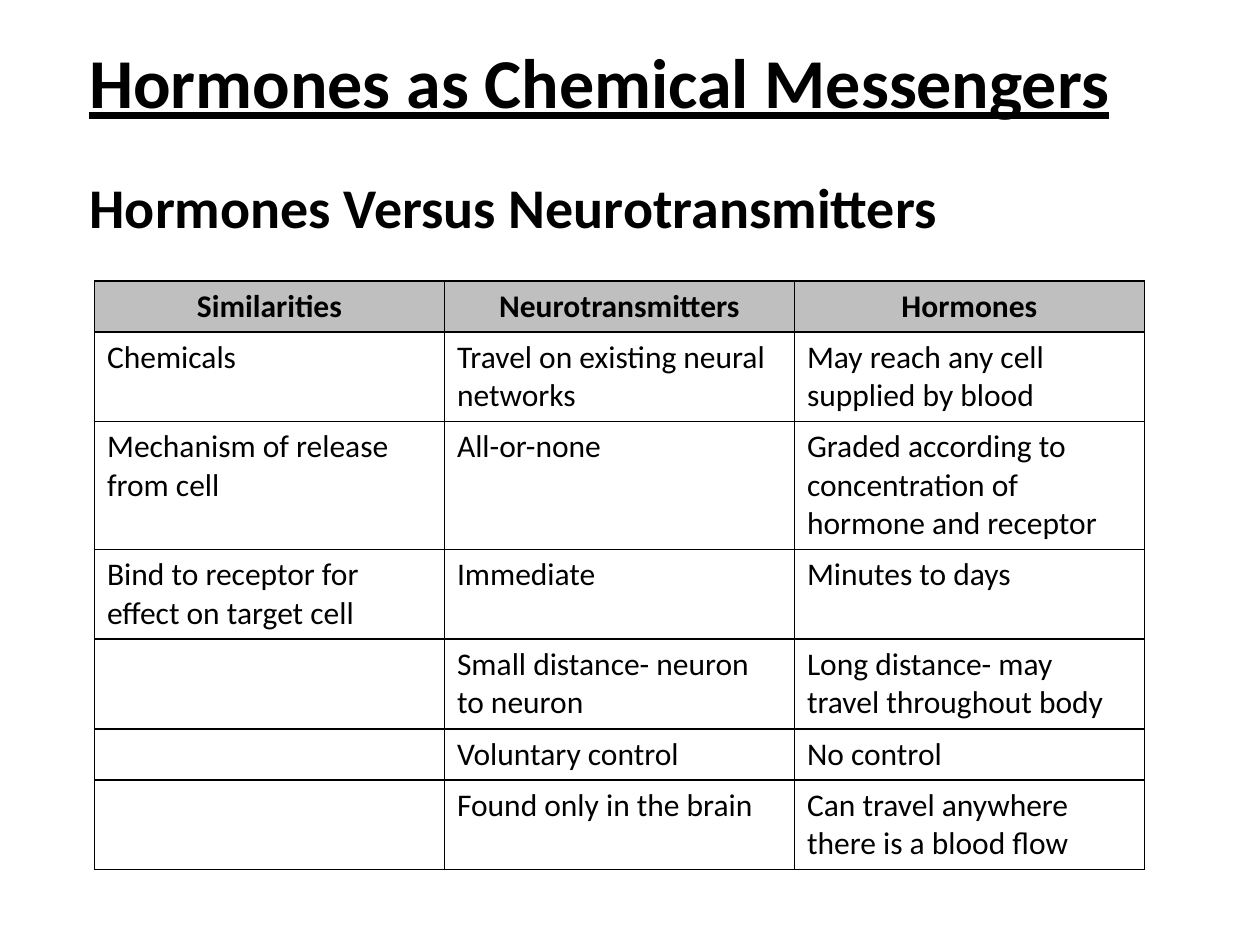
from lxml.etree import SubElement as add_element
from pptx import Presentation
from pptx.dml.color import RGBColor
from pptx.enum.text import MSO_ANCHOR as Anchor, PP_ALIGN as Align
from pptx.oxml.ns import qn
from pptx.util import Pt

BLACK = RGBColor(0x00, 0x00, 0x00)
WHITE = RGBColor(0xFF, 0xFF, 0xFF)
GREY = RGBColor(0xBF, 0xBF, 0xBF)

ROWS = [
    ("Similarities", "Neurotransmitters", "Hormones"),
    ("Chemicals", "Travel on existing neural networks",
     "May reach any cell supplied by blood"),
    ("Mechanism of release from cell", "All-or-none",
     "Graded according to concentration of hormone and receptor"),
    ("Bind to receptor for effect on target cell", "Immediate", "Minutes to days"),
    ("", "Small distance- neuron to neuron", "Long distance- may travel throughout body"),
    ("", "Voluntary control", "No control"),
    ("", "Found only in the brain", "Can travel anywhere there is a blood flow"),
]
ROW_HEIGHTS = [29.12, 51.2, 73.2, 51.2, 51.2, 29.12, 51.2]
COLUMN_WIDTH = 200


def set_values(target, values):
    for name, value in values.items():
        setattr(target, name, value)


def format_font(font, size, **values):
    set_values(font, {"name": "Calibri", "size": Pt(size), **values})
    font.color.rgb = BLACK


def fill_placeholder(box, text, place, anchor, align, size, **values):
    set_values(box, dict(zip(("left", "top", "width", "height"), map(Pt, place))))
    frame = box.text_frame
    set_values(frame, {"text": text, "word_wrap": True, "vertical_anchor": anchor})
    para = frame.paragraphs[0]
    set_values(para, {"alignment": align, "space_before": Pt(0)})
    format_font(para.runs[0].font, size, **values)
    return para


def remove_bullet(para):
    properties = para._p.get_or_add_pPr()
    properties.set("marL", "0")
    properties.set("indent", "0")
    add_element(properties, qn("a:buNone"))


def add_borders(cell):
    properties = cell._tc.get_or_add_tcPr()
    for side in ("lnL", "lnR", "lnT", "lnB"):
        line = add_element(properties, qn(f"a:{side}"), w=str(Pt(1)))
        fill = add_element(line, qn("a:solidFill"))
        add_element(fill, qn("a:srgbClr"), val=str(BLACK))


def fill_cell(cell, text, is_header):
    add_borders(cell)
    cell.fill.solid()
    cell.fill.fore_color.rgb = GREY if is_header else WHITE
    cell.text = text
    para = cell.text_frame.paragraphs[0]
    para.alignment = Align.CENTER if is_header else Align.LEFT
    format_font(para.font, 18, bold=is_header)
    for span in para.runs:
        format_font(span.font, 18, bold=is_header)


def add_comparison(page):
    columns = len(ROWS[0])
    table = page.shapes.add_table(
        len(ROWS), columns, Pt(54), Pt(160.5),
        Pt(COLUMN_WIDTH * columns), Pt(sum(ROW_HEIGHTS))).table
    set_values(table, {"first_row": False, "horz_banding": False})
    for column in table.columns:
        column.width = Pt(COLUMN_WIDTH)
    for number, (texts, height) in enumerate(zip(ROWS, ROW_HEIGHTS)):
        row = table.rows[number]
        row.height = Pt(height)
        for cell, text in zip(row.cells, texts):
            fill_cell(cell, text, number == 0)


def main():
    deck = Presentation()
    set_values(deck, {"slide_width": Pt(720), "slide_height": Pt(540)})
    page = deck.slides.add_slide(deck.slide_layouts[1])
    title, body = page.placeholders
    fill_placeholder(title, "Hormones as Chemical Messengers", (18.5, 1, 648, 90),
                     Anchor.MIDDLE, Align.CENTER, 40, bold=True, underline=True)
    heading = fill_placeholder(body, "Hormones Versus Neurotransmitters",
                               (44, 95, 648, 49), Anchor.TOP, Align.LEFT, 32, bold=True)
    remove_bullet(heading)
    add_comparison(page)
    deck.save("out.pptx")


if __name__ == "__main__":
    main()
